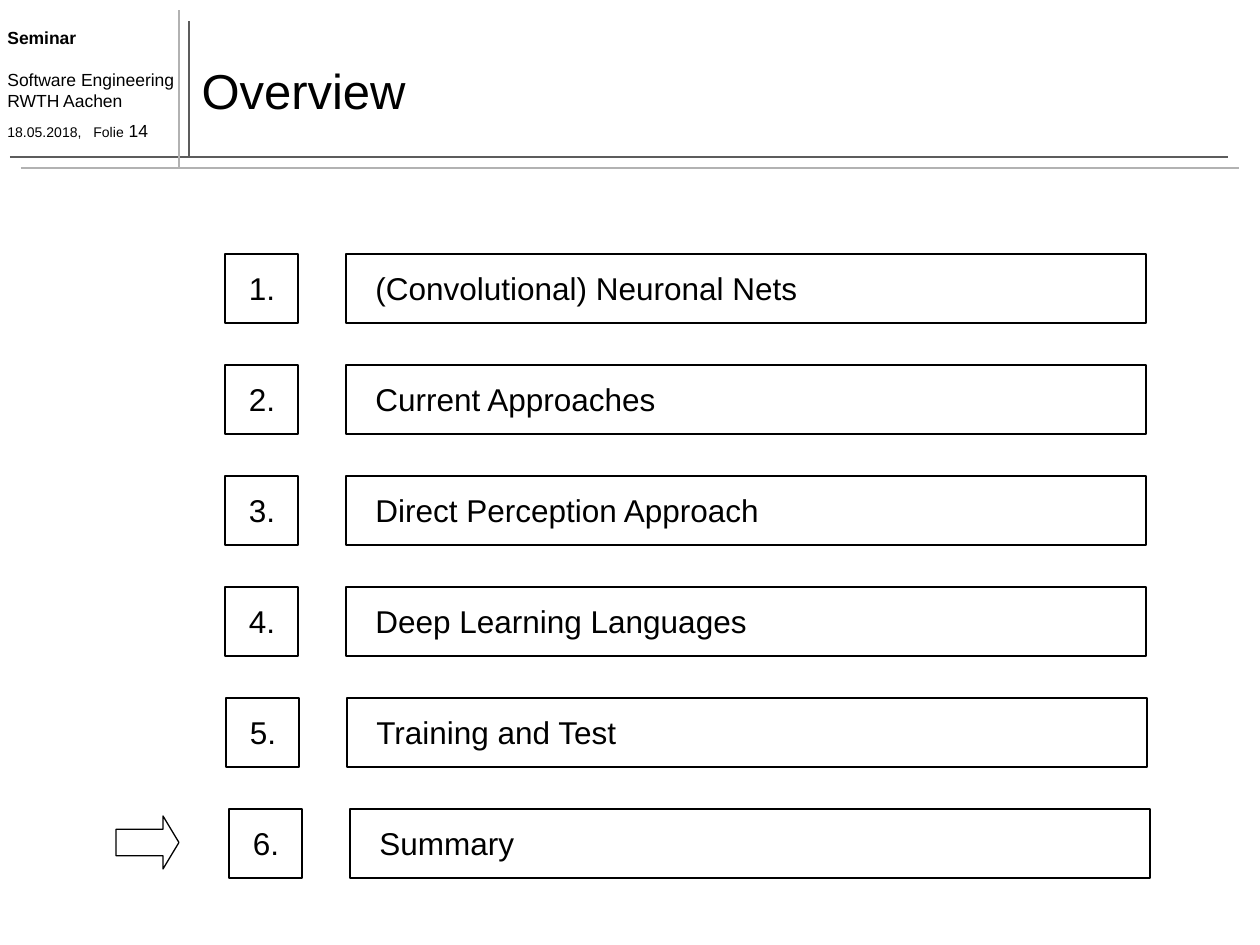
from pptx import Presentation
from pptx.dml.color import RGBColor
from pptx.enum import shapes, text
from pptx.oxml.ns import qn
from pptx.util import Pt
from lxml import etree

SCALE = 914400 / 126
BLACK, DARK, LIGHT = "000000", "5C5C5C", "B2B2B2"


def px(*vals):
    return [round(v * SCALE) for v in vals]


def color(code):
    return RGBColor.from_string(code)


class Deck:
    """Draw styled elements on the current slide."""

    font = "Arial"

    def __init__(self, wide, high):
        self.prs = Presentation()
        self.prs.slide_width, self.prs.slide_height = px(wide, high)
        self.slide = self.prs.slides.add_slide(self.prs.slide_layouts[5])

    def run(self, para, words, size, bold=False):
        run = para.add_run()
        run.text = words
        run.font.name = self.font
        run.font.size = Pt(size)
        run.font.bold = bold
        run.font.color.rgb = color(BLACK)

    def line(self, x1, y1, x2, y2, tone):
        line = self.slide.shapes.add_connector(
            shapes.MSO_CONNECTOR.STRAIGHT, *px(x1, y1, x2, y2))
        line.line.color.rgb = color(tone)
        line.line.width = Pt(1)
        props = line._element.spPr
        etree.SubElement(props, qn("a:effectLst"))

    def title(self, words, *box):
        head = self.slide.shapes.title
        head.left, head.top, head.width, head.height = px(*box)
        frame = head.text_frame
        frame.vertical_anchor = text.MSO_ANCHOR.MIDDLE
        para = frame.paragraphs[0]
        para.alignment = text.PP_ALIGN.LEFT
        self.run(para, words, 28)

    def shape(self, home, kind, *box):
        shape = home.add_shape(kind, *px(*box))
        shape.shadow.inherit = False
        shape.fill.background()
        shape.line.color.rgb = color(BLACK)
        shape.line.width = Pt(0.75)
        return shape

    def label(self, home, words, align, *box):
        frame = home.add_textbox(*px(*box)).text_frame
        frame.word_wrap = False
        frame.auto_size = text.MSO_AUTO_SIZE.SHAPE_TO_FIT_TEXT
        frame.vertical_anchor = text.MSO_ANCHOR.MIDDLE
        para = frame.paragraphs[0]
        para.alignment = align
        self.run(para, words, 18)

    def row(self, num, words, wide, x, y):
        home = self.slide.shapes.add_group_shape().shapes
        rect = shapes.MSO_SHAPE.RECTANGLE
        self.shape(home, rect, x + 121, y, 800, 69)
        self.label(home, words, text.PP_ALIGN.LEFT, x + 138, y + 9, wide, 50)
        self.shape(home, rect, x, y, 73, 69)
        self.label(home, f"{num}.", text.PP_ALIGN.CENTER, x + 11, y + 9, 52, 50)

    def info(self, paras, tab, *box):
        frame = self.slide.shapes.add_textbox(*px(*box)).text_frame
        frame.word_wrap = True
        for i, (gap, runs) in enumerate(paras):
            para = frame.add_paragraph() if i else frame.paragraphs[0]
            para.space_before = Pt(gap)
            for run in runs:
                self.run(para, *run)
        stops = etree.SubElement(para._p.get_or_add_pPr(), qn("a:tabLst"))
        etree.SubElement(stops, qn("a:tab"), pos=str(px(tab)[0]), algn="l")


def main():
    deck = Deck(1260, 945)
    for line in [(189, 157, 189, 21, DARK), (10, 157, 1228, 157, DARK),
                 (21, 168, 1239, 168, LIGHT), (179, 168, 179, 10, LIGHT)]:
        deck.line(*line)
    deck.info([
        (0, [("Seminar", 10, True)]),
        (12, [("Software Engineering", 10)]),
        (0, [("RWTH Aachen", 10)]),
        (5, [("18.05.2018,\tFolie", 8), (" 14", 10)]),
    ], 86, -5, 21, 194, 130)
    deck.title("Overview", 189, 32, 1050, 116)
    topics = [("(Convolutional) Neuronal Nets", 451, 225),
              ("Current Approaches", 309, 225),
              ("Direct Perception Approach", 412, 225),
              ("Deep Learning Languages", 401, 225),
              ("Training and Test", 267, 226),
              ("Summary", 161, 229)]
    for i, (words, wide, x) in enumerate(topics):
        deck.row(i + 1, words, wide, x, 254 + 111 * i)
    arrow = deck.shape(deck.slide.shapes, shapes.MSO_SHAPE.RIGHT_ARROW,
                       116, 816, 63, 53)
    arrow.adjustments[1] = 0.3
    deck.prs.save("out.pptx")


if __name__ == "__main__":
    main()
